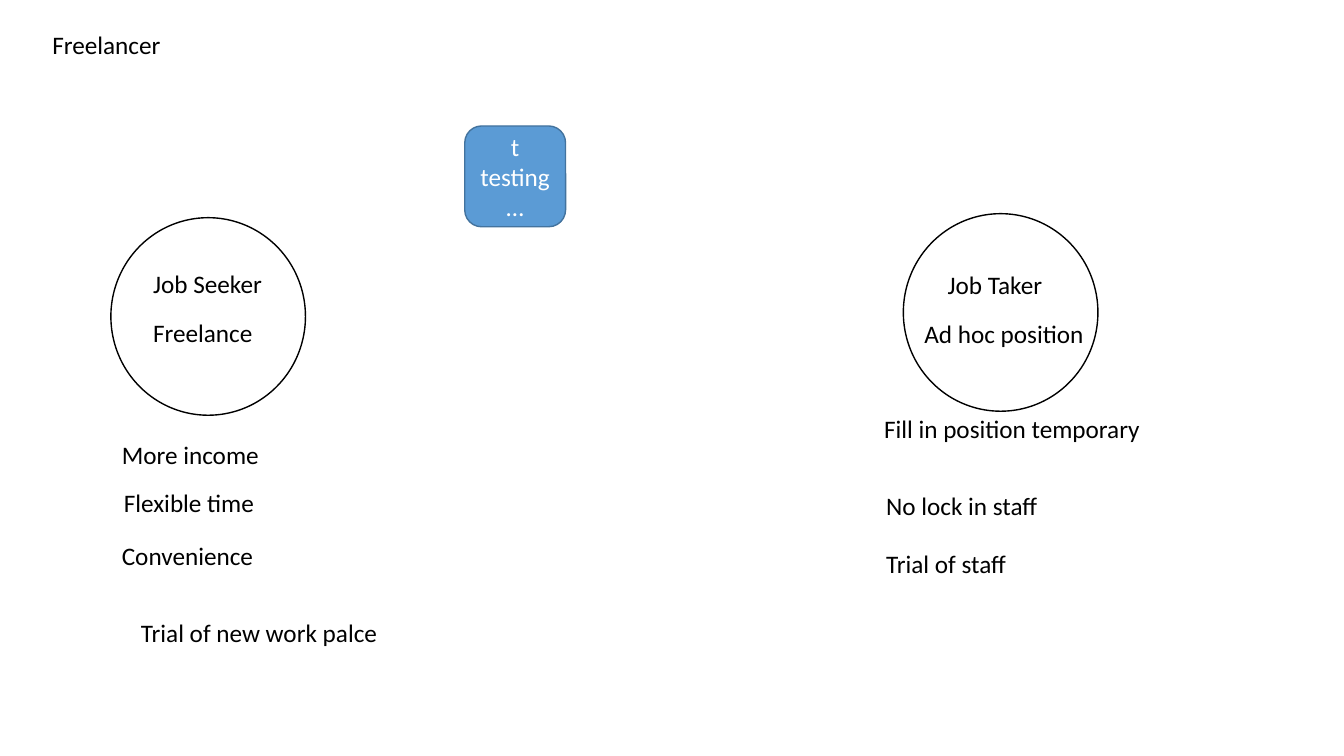
from pptx import Presentation
from pptx.dml.color import RGBColor
from pptx.enum.shapes import MSO_SHAPE
from pptx.enum.text import MSO_ANCHOR, MSO_AUTO_SIZE, PP_ALIGN
from pptx.util import Inches, Pt

OVAL, ROUNDED = MSO_SHAPE.OVAL, MSO_SHAPE.ROUNDED_RECTANGLE
MIDDLE, CENTER = MSO_ANCHOR.MIDDLE, PP_ALIGN.CENTER
GROW = MSO_AUTO_SIZE.SHAPE_TO_FIT_TEXT
BLACK, WHITE, BLUE, DARK_BLUE = "000000", "FFFFFF", "5B9BD5", "43739E"


def rgb(color):
    return RGBColor.from_string(color)


def set_text(tf, text, color):
    p = tf.paragraphs[0]
    p.text = text
    p.font.name, p.font.size = "Calibri", Pt(18)
    p.font.color.rgb = rgb(color)
    return p


def add_label(s, text, x, y, w):
    tf = s.shapes.add_textbox(Inches(x), Inches(y), Inches(w), Inches(0.4)).text_frame
    tf.word_wrap = False
    tf.auto_size = GROW
    set_text(tf, text, BLACK)


def add_outline(s, kind, x, y, w, h, line, fill=None):
    sp = s.shapes.add_shape(kind, Inches(x), Inches(y), Inches(w), Inches(h))
    sp.shadow.inherit = False
    sp.line.color.rgb = rgb(line)
    sp.line.width = Pt(1)
    if fill:
        sp.fill.solid()
        sp.fill.fore_color.rgb = rgb(fill)
    else:
        sp.fill.background()
    return sp


def add_role(s, x, y, labels):
    """Circle at x, y with its labels offset from that corner."""
    add_outline(s, OVAL, x, y, 1.93, 1.96, BLACK)
    for text, dx, dy, w in labels:
        add_label(s, text, x + dx, y + dy, w)


def add_testing_box(s, x, y, size):
    sp = add_outline(s, ROUNDED, x, y, size, size, DARK_BLUE, BLUE)
    tf = sp.text_frame
    tf.word_wrap = True
    tf.vertical_anchor = MIDDLE
    set_text(tf, "t testing…", WHITE).alignment = CENTER


# Label offsets and widths: role name, role type, then benefits below
SEEKER = [
    ("Job Seeker", 0.32, 0.45, 1.29),
    ("Freelance", 0.32, 0.94, 1.2),
    ("More income", 0.01, 2.15, 1.58),
    ("Flexible time", 0.03, 2.63, 1.51),
    ("Convenience", 0.01, 3.15, 1.52),
    ("Trial of new work palce", 0.2, 3.92, 2.57),
]
TAKER = [
    ("Job Taker", 0.34, 0.5, 1.15),
    ("Ad hoc position", 0.11, 0.99, 1.78),
    ("Fill in position temporary", -0.29, 1.93, 2.77),
    ("No lock in staff", -0.27, 2.7, 1.72),
    ("Trial of staff", -0.27, 3.27, 1.41),
]

prs = Presentation()
prs.slide_width, prs.slide_height = Inches(13.33), Inches(7.5)
s = prs.slides.add_slide(prs.slide_layouts[6])

# Title
add_label(s, "Freelancer", 0.42, 0.24, 1.29)
# Two roles
add_role(s, 1.1, 2.16, SEEKER)
add_role(s, 8.96, 2.12, TAKER)
# Blue box
add_testing_box(s, 4.61, 1.25, 1)

prs.save("out.pptx")
